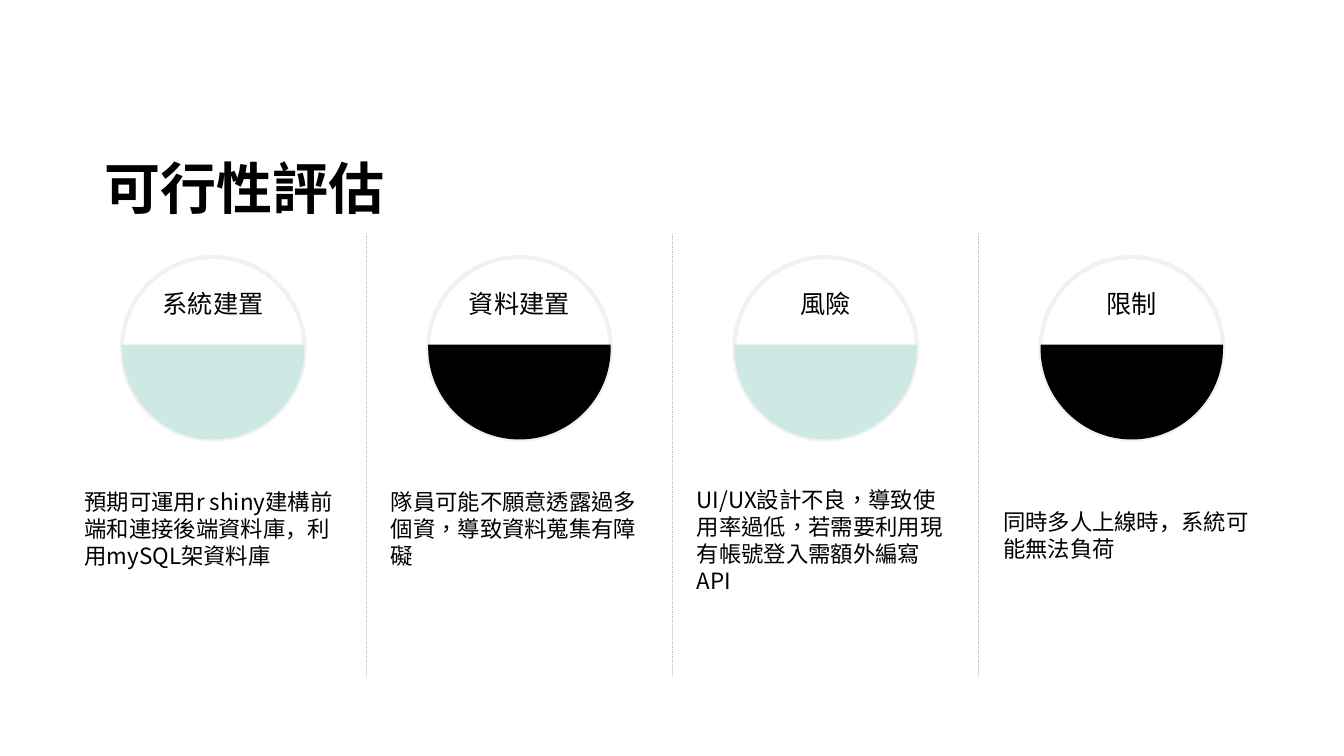
from dataclasses import dataclass
from typing import Optional

from lxml import etree
from pptx import Presentation, util as u
from pptx.dml.color import RGBColor
from pptx.enum import dml, lang, shapes, text
from pptx.oxml import ns

FONT = "Noto Sans CJK SC"
BLACK, MINT, RING, RULE = "000000", "CEE8E4", "D9D9D9", "BFBFBF"
LEFT, PITCH = 1.21, 9.11 / 3
TOP, SIZE, BRIM = 2.55, 1.81, 3.42
BEND = 0.55
TAIWAN = lang.MSO_LANGUAGE_ID.TRADITIONAL_CHINESE


@dataclass
class Topic:
    head: str
    body: str
    fill: str
    top: float = 4.64
    high: float = 1.21
    tongue: Optional[lang.MSO_LANGUAGE_ID] = None


TOPICS = [
    Topic("系統建置", "預期可運用r shiny建構前端和連接後端資料庫，利用mySQL架資料庫", MINT),
    Topic("資料建置", "隊員可能不願意透露過多個資，導致資料蒐集有障礙", BLACK, tongue=TAIWAN),
    Topic("風險", "UI/UX設計不良，導致使用率過低，若需要利用現有帳號登入需額外編寫API", MINT,
          top=4.75, tongue=TAIWAN),
    Topic("限制", "同時多人上線時，系統可能無法負荷", BLACK, high=1.33),
]


def color(code: str) -> RGBColor:
    return RGBColor.from_string(code)


def apply(item, form: dict) -> None:
    for name, value in form.items():
        setattr(item, name, value)


def add(node, tag: str, **attrs: str):
    return etree.SubElement(node, ns.qn(tag), attrs)


def write(shape, words: str, size: int, align=text.PP_ALIGN.LEFT,
          anchor=text.MSO_ANCHOR.TOP, font: str = FONT, bold: bool = False,
          tongue: Optional[lang.MSO_LANGUAGE_ID] = None) -> None:
    frame = shape.text_frame
    apply(frame, {"word_wrap": True, "vertical_anchor": anchor})
    para = frame.paragraphs[0]
    para.alignment = align
    run = para.add_run()
    run.text = words
    apply(run.font, {"name": font, "size": u.Pt(size), "bold": bold,
                     "language_id": tongue})
    run.font.color.rgb = color(BLACK)
    add(run.font._element, "a:ea", typeface=font)


def label(slide, left: float, top: float, wide: float, high: float, words: str, **form) -> None:
    box = slide.shapes.add_textbox(*map(u.Inches, (left, top, wide, high)))
    write(box, words, **form)


def circle(slide, left: float, words: str) -> None:
    ring = slide.shapes.add_shape(
        shapes.MSO_SHAPE.OVAL, *map(u.Inches, (left, TOP, SIZE, SIZE)))
    ring.shadow.inherit = False
    ring.fill.background()
    ring.line.width = u.Pt(3)
    ring.line.color.rgb = color(RING)
    tint = ring.line._ln.find(".//" + ns.qn("a:srgbClr"))
    add(tint, "a:alpha", val="35000")
    write(ring, words, size=18, align=text.PP_ALIGN.CENTER)


def curve(node, points: list[tuple[float, float]]) -> None:
    arc = etree.Element(ns.qn("a:cubicBezTo"))
    for x, y in points:
        add(arc, "a:pt", x=str(u.Inches(x)), y=str(u.Inches(y)))
    node.getparent().replace(node, arc)


def bowl(slide, left: float, fill: str) -> None:
    half = SIZE / 2
    rim, base = TOP + half - BRIM, TOP + SIZE - BRIM
    bend = BEND * half
    outline = [(SIZE, 0), (SIZE, rim), (half, base), (0, rim)]
    maker = slide.shapes.build_freeform(u.Inches(left), u.Inches(BRIM))
    maker.add_line_segments(
        [(u.Inches(left + x), u.Inches(BRIM + y)) for x, y in outline], close=True)
    shape = maker.convert_to_shape()
    sides = shape._element.findall(".//" + ns.qn("a:lnTo"))
    curve(sides[2], [(SIZE, rim + bend), (half + bend, base), (half, base)])
    curve(sides[3], [(half - bend, base), (0, rim + bend), (0, rim)])
    shape.shadow.inherit = False
    shape.fill.solid()
    shape.fill.fore_color.rgb = color(fill)
    shape.line.fill.background()


def rule(slide, left: float) -> None:
    line = slide.shapes.add_connector(
        shapes.MSO_CONNECTOR.STRAIGHT, *map(u.Inches, (left, 2.32, left, 6.72)))
    apply(line.line, {"width": u.Pt(0.25), "dash_style": dml.MSO_LINE.DASH})
    line.line.color.rgb = color(RULE)
    add(line._element.spPr, "a:effectLst")


def main() -> None:
    deck = Presentation()
    apply(deck, {"slide_width": u.Inches(13.33), "slide_height": u.Inches(7.5)})
    slide = deck.slides.add_slide(deck.slide_layouts[6])
    for i, topic in enumerate(TOPICS):
        left = LEFT + i * PITCH
        circle(slide, left, topic.head)
        bowl(slide, left, topic.fill)
        label(slide, left - 0.47, topic.top, 2.75, topic.high, topic.body,
              size=16, anchor=text.MSO_ANCHOR.MIDDLE, tongue=topic.tongue)
    for i in range(len(TOPICS) - 1):
        rule(slide, 3.63 + i * PITCH)
    label(slide, 0.94, 1.47, 7.61, 1.16, "可行性評估",
          size=40, font="Noto Sans CJK TC", bold=True)
    deck.save("out.pptx")


if __name__ == "__main__":
    main()
